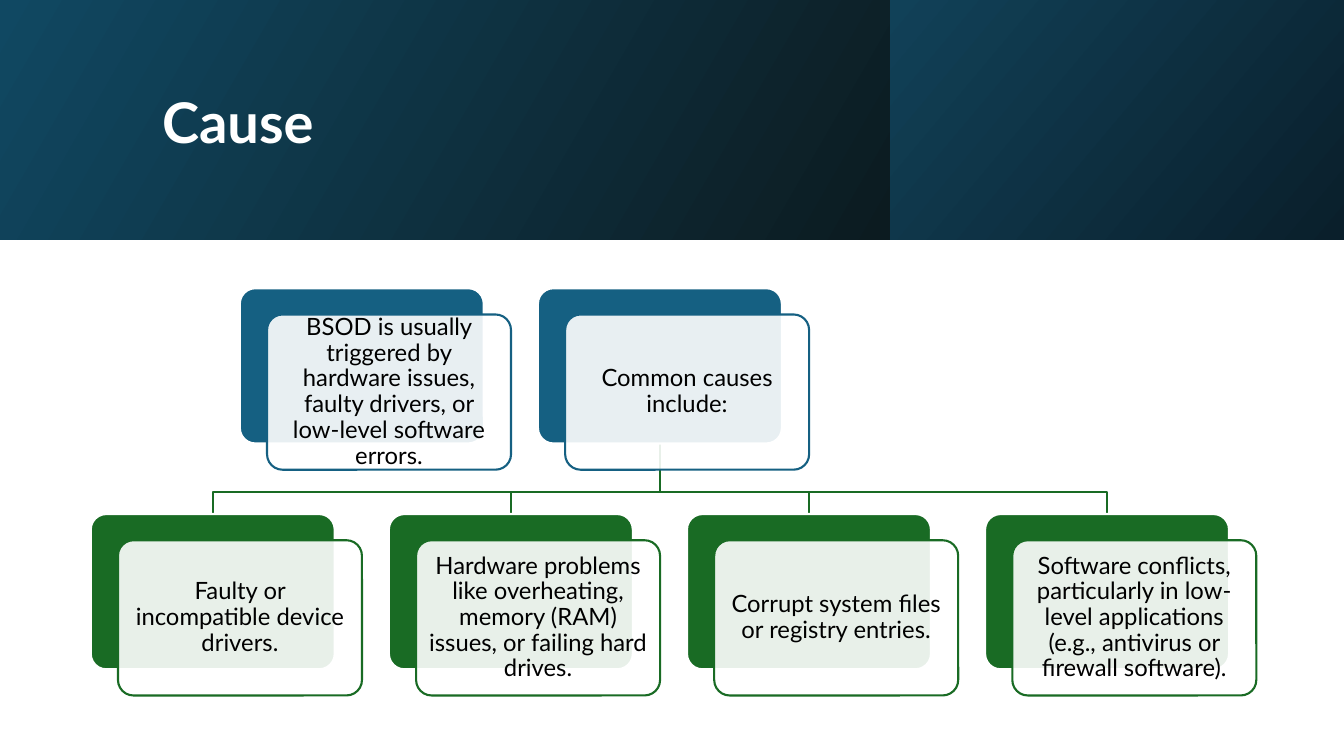
"""Build the Cause slide: a gradient banner above a two-level hierarchy of cards."""
from dataclasses import dataclass

from lxml import etree
from pptx import Presentation
from pptx.dml.color import RGBColor
from pptx.enum import shapes, text
from pptx.oxml.ns import qn
from pptx.util import Inches, Pt

TITLE = "Cause"
TOP_CARDS = [
    "BSOD is usually triggered by hardware issues, faulty drivers, or low-level software errors.",
    "Common causes include:",
]
CAUSE_CARDS = [
    "Faulty or incompatible device drivers.",
    "Hardware problems like overheating, memory (RAM) issues, or failing hard drives.",
    "Corrupt system files or registry entries.",
    "Software conflicts, particularly in low-level applications (e.g., antivirus or firewall software).",
]


@dataclass(frozen=True)
class Theme:
    font: str = "Lato"
    title_size: int = 40
    card_size: int = 17
    line_width: float = 1.5
    white: str = "FFFFFF"
    black: str = "000000"
    blue: str = "156082"
    green: str = "196B24"
    banner_left: tuple = ("104862", "0C1B20")
    banner_right: tuple = ("114158", "0A1F2B")


THEME = Theme()
SLIDE_WIDTH, SLIDE_HEIGHT = 13.33, 7.5
BANNER_HEIGHT, BANNER_SPLIT = 2.38, 8.83
CARD_WIDTH, CARD_HEIGHT = 2.42, 1.54
FRONT_SHIFT, FRONT_DROP = 0.27, 0.26
FIRST_LEFT, LAST_LEFT = 0.9, 9.77
COLUMN_STEP = (LAST_LEFT - FIRST_LEFT) / 3
TOP_ROW, CAUSE_ROW = 2.86, 5.1
BRANCH_LEVEL = 4.88


def card_left(column):
    return FIRST_LEFT + column * COLUMN_STEP


def add_box(slide, kind, left, top, width, height):
    shape = slide.shapes.add_shape(kind, Inches(left), Inches(top), Inches(width), Inches(height))
    shape.shadow.inherit = False
    return shape


def add_banner(slide, left, width, colors, angle):
    banner = add_box(slide, shapes.MSO_SHAPE.RECTANGLE, left, 0, width, BANNER_HEIGHT)
    banner.line.fill.background()
    banner.fill.gradient()
    banner.fill.gradient_angle = angle
    for stop, color in zip(banner.fill.gradient_stops, colors):
        stop.color.rgb = RGBColor.from_string(color)


def write(frame, words, size, color, alignment, bold=False):
    frame.word_wrap = True
    frame.vertical_anchor = text.MSO_ANCHOR.MIDDLE
    frame.text = words
    paragraph = frame.paragraphs[0]
    paragraph.alignment = alignment
    paragraph.line_spacing = 0.9
    font = paragraph.runs[0].font
    font.name, font.size, font.bold = THEME.font, Pt(size), bold
    font.color.rgb = RGBColor.from_string(color)


def set_line(shape, color):
    shape.line.color.rgb = RGBColor.from_string(color)
    shape.line.width = Pt(THEME.line_width)


def add_panel(slide, left, top, fill, line):
    panel = add_box(slide, shapes.MSO_SHAPE.ROUNDED_RECTANGLE, left, top, CARD_WIDTH, CARD_HEIGHT)
    panel.adjustments[0] = 0.1
    panel.fill.solid()
    panel.fill.fore_color.rgb = RGBColor.from_string(fill)
    set_line(panel, line)
    return panel


def add_card(slide, column, top, words, color):
    left = card_left(column)
    add_panel(slide, left, top, color, THEME.white)
    front = add_panel(slide, left + FRONT_SHIFT, top + FRONT_DROP, THEME.white, color)
    fill_color = front.fill._xPr.find(qn("a:solidFill"))[0]
    etree.SubElement(fill_color, qn("a:alpha")).set("val", "90000")
    frame = front.text_frame
    frame.margin_left = frame.margin_right = Inches(0.07)
    frame.margin_top = frame.margin_bottom = Inches(0.07)
    write(frame, words, THEME.card_size, THEME.black, text.PP_ALIGN.CENTER)


def add_branch(slide, parent_column, child_column):
    start = Inches(card_left(parent_column) + CARD_WIDTH / 2)
    end = Inches(card_left(child_column) + CARD_WIDTH / 2)
    level = Inches(BRANCH_LEVEL)
    builder = slide.shapes.build_freeform(start, Inches(TOP_ROW + CARD_HEIGHT))
    builder.add_line_segments([(start, level), (end, level), (end, Inches(CAUSE_ROW))], close=False)
    branch = builder.convert_to_shape()
    branch.shadow.inherit = False
    branch.fill.background()
    set_line(branch, THEME.green)


def main():
    presentation = Presentation()
    presentation.slide_width = Inches(SLIDE_WIDTH)
    presentation.slide_height = Inches(SLIDE_HEIGHT)
    slide = presentation.slides.add_slide(presentation.slide_layouts[6])

    add_banner(slide, 0, BANNER_SPLIT, THEME.banner_left, 330)
    add_banner(slide, BANNER_SPLIT, SLIDE_WIDTH - BANNER_SPLIT, THEME.banner_right, 320)
    title = slide.shapes.add_textbox(Inches(1.51), Inches(0.38), Inches(10.63), Inches(1.72))
    write(title.text_frame, TITLE, THEME.title_size, THEME.white, text.PP_ALIGN.LEFT, bold=True)

    for column in reversed(range(len(CAUSE_CARDS))):
        add_branch(slide, 1.5, column)
    for column, words in enumerate(TOP_CARDS):
        add_card(slide, column + 0.5, TOP_ROW, words, THEME.blue)
    for column, words in enumerate(CAUSE_CARDS):
        add_card(slide, column, CAUSE_ROW, words, THEME.green)

    presentation.save("out.pptx")


if __name__ == "__main__":
    main()
